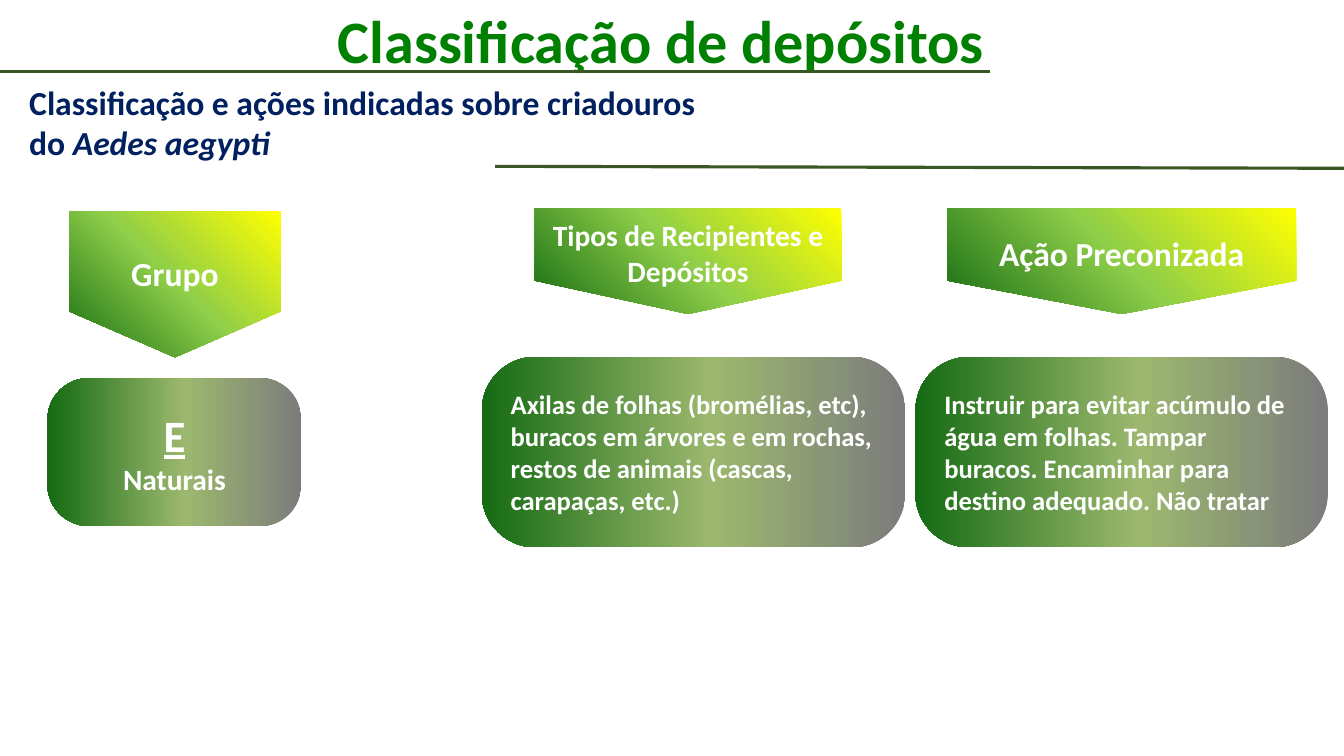
from lxml import etree
from pptx import Presentation
from pptx.dml.color import RGBColor
from pptx.enum.shapes import MSO_CONNECTOR, MSO_SHAPE
from pptx.enum.text import MSO_ANCHOR, MSO_AUTO_SIZE, PP_ALIGN
from pptx.oxml.ns import qn
from pptx.util import Inches, Pt

GREEN = RGBColor(0x00, 0x80, 0x00)
NAVY = RGBColor(0x00, 0x20, 0x60)
OLIVE = RGBColor(0x38, 0x57, 0x23)
WHITE = RGBColor(0xFF, 0xFF, 0xFF)
YELLOW = RGBColor(0xFF, 0xFF, 0x00)
LIME = RGBColor(0x8E, 0xCE, 0x49)
FOREST = RGBColor(0x15, 0x6B, 0x13)
GRAY = RGBColor(0x7C, 0x7C, 0x7C)
SAGE = RGBColor(0x9C, 0xB8, 0x6E)


def write_lines(frame, lines, size, color, align=PP_ALIGN.LEFT):
    frame.word_wrap = True
    frame.margin_left = frame.margin_right = Inches(0.13)
    frame.margin_top = frame.margin_bottom = Inches(0.07)
    for index, line in enumerate(lines):
        para = frame.paragraphs[0] if index == 0 else frame.add_paragraph()
        para.text = line
        para.alignment = align
        para.font.name = "Calibri"
        para.font.size = Pt(size)
        para.font.bold = True
        para.font.color.rgb = color


def add_gradient_shape(kind, left, top, width, height, adjustment, stops, angle):
    shape = page.shapes.add_shape(kind, Inches(left), Inches(top), Inches(width), Inches(height))
    shape.adjustments[0] = adjustment
    shape.shadow.inherit = False
    shape.line.fill.background()
    shape.fill.gradient()
    gradient = shape._element.spPr.find(qn("a:gradFill"))
    gradient.set("rotWithShape", "1")
    stop_list = gradient.find(qn("a:gsLst"))
    for old_stop in list(stop_list):
        stop_list.remove(old_stop)
    for position, color in stops:
        stop = etree.SubElement(stop_list, qn("a:gs"), pos=str(position * 1000))
        etree.SubElement(stop, qn("a:srgbClr"), val=str(color))
    direction = gradient.find(qn("a:lin"))
    direction.set("ang", str(angle * 60000))
    direction.set("scaled", "0")
    shape.text_frame.vertical_anchor = MSO_ANCHOR.MIDDLE
    return shape


deck = Presentation()
deck.slide_width = Inches(13.33)
deck.slide_height = Inches(7.5)
page = deck.slides.add_slide(deck.slide_layouts[5])

title = page.shapes.title
title.left, title.top = Inches(2.85), Inches(-0.03)
title.width, title.height = Inches(7.49), Inches(0.94)
title_frame = title.text_frame
write_lines(title_frame, ["Classificação de depósitos"], 43, GREEN)
title_frame.margin_left = Inches(0.5)
title_frame.auto_size = MSO_AUTO_SIZE.NONE
title_frame.vertical_anchor = MSO_ANCHOR.MIDDLE
title_frame.paragraphs[0].line_spacing = 0.9

subtitle = page.shapes.add_textbox(Inches(0.16), Inches(0.74), Inches(12.91), Inches(0.94))
write_lines(subtitle.text_frame, ["Classificação e ações indicadas sobre criadouros", "do "], 24, NAVY)
species = subtitle.text_frame.paragraphs[1].add_run()
species.text = "Aedes aegypti"
species.font.italic = True

for x1, y1, x2, y2 in [(0, 0.71, 9.82, 0.71), (4.91, 1.65, 13.39, 1.67)]:
    rule = page.shapes.add_connector(
        MSO_CONNECTOR.STRAIGHT, Inches(x1), Inches(y1), Inches(x2), Inches(y2))
    rule.line.color.rgb = OLIVE
    rule.line.width = Pt(2.25)
    etree.SubElement(rule._element.spPr, qn("a:effectLst"))

headings = [
    ("Grupo", 24, 1.01, 1.77, 1.45, 2.1),
    ("Tipos de Recipientes e Depósitos", 21, 6.3, 1.07, 1.05, 3.04),
    ("Ação Preconizada", 24, 10.6, 0.86, 1.05, 3.46),
]
for label, size, left, top, width, height in headings:
    heading = add_gradient_shape(
        MSO_SHAPE.PENTAGON, left, top, width, height, 0.315,
        [(0, YELLOW), (50, LIME), (100, FOREST)], 45)
    heading.rotation = 90
    write_lines(heading.text_frame, [label], size, WHITE, PP_ALIGN.CENTER)
    heading.text_frame._txBody.bodyPr.set("vert", "vert270")

cards = [
    (["E", "Naturais"], 21, PP_ALIGN.CENTER, 0.47, 3.75, 2.52, 1.47),
    (["Axilas de folhas (bromélias, etc),",
      "buracos em árvores e em rochas, restos de animais (cascas, carapaças, etc.)"],
     19, PP_ALIGN.LEFT, 4.78, 3.54, 4.2, 1.89),
    (["Instruir para evitar acúmulo de", "água em folhas. Tampar",
      "buracos. Encaminhar para", "destino adequado. Não tratar"],
     19, PP_ALIGN.LEFT, 9.08, 3.54, 4.09, 1.89),
]
for lines, size, align, left, top, width, height in cards:
    card = add_gradient_shape(
        MSO_SHAPE.ROUNDED_RECTANGLE, left, top, width, height, 0.282,
        [(0, GRAY), (46, SAGE), (100, FOREST)], 180)
    write_lines(card.text_frame, lines, size, WHITE, align)
    if lines[0] == "E":
        group_letter = card.text_frame.paragraphs[0].font
        group_letter.size = Pt(32)
        group_letter.underline = True

deck.save("out.pptx")
